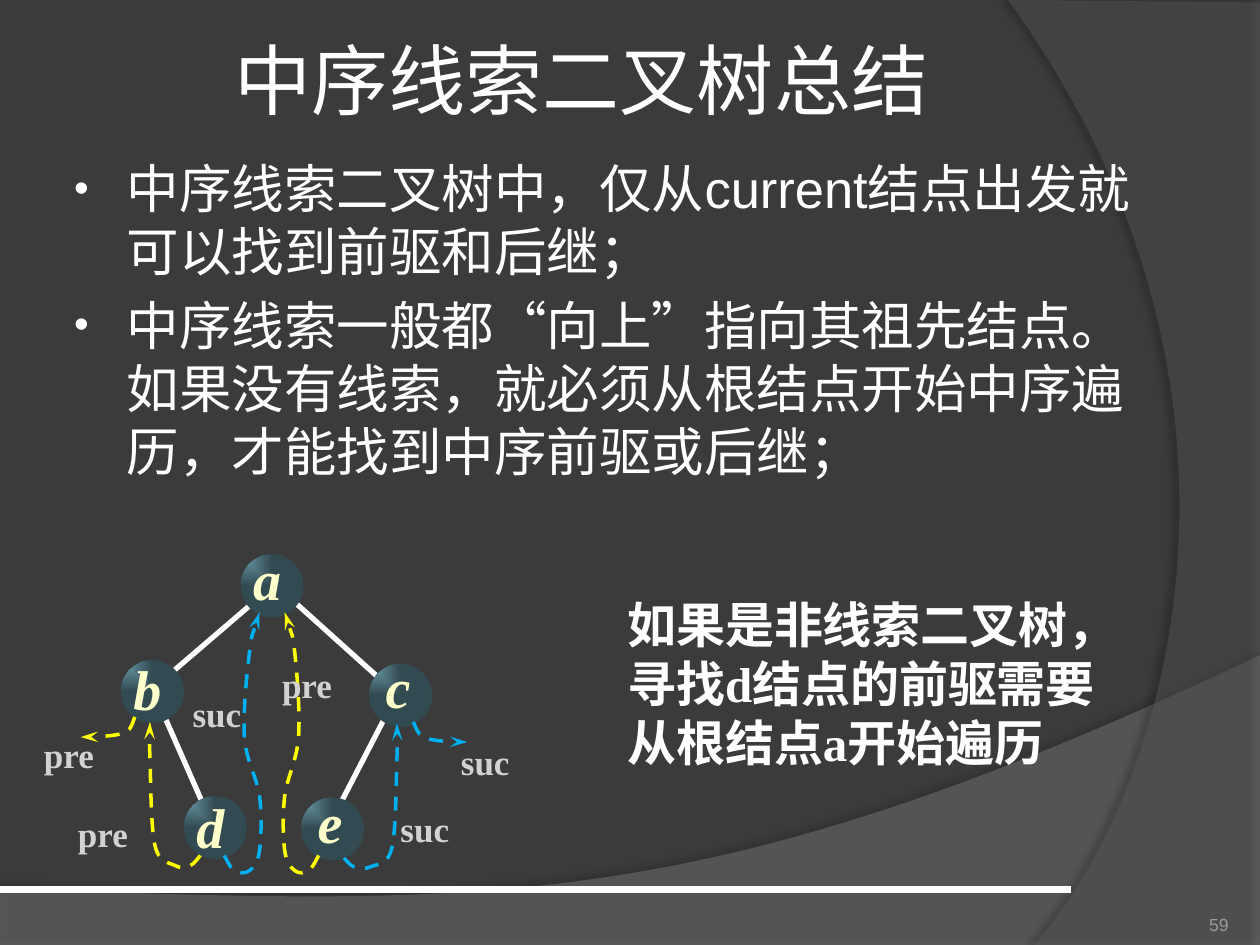
"""Build the summary slide on in-order threaded binary trees."""
import lxml.etree
import pptx
import pptx.dml.color
import pptx.enum.dml
import pptx.enum.shapes
import pptx.enum.text
import pptx.oxml
import pptx.oxml.ns
import pptx.util

RGB = pptx.dml.color.RGBColor
ALIGN = pptx.enum.text.PP_ALIGN
ANCHOR = pptx.enum.text.MSO_ANCHOR
INCH = pptx.util.Inches(1)
DARK = RGB(0x3B, 0x3B, 0x3B)
SWEEP_GREY = RGB(0x7F, 0x7F, 0x7F)
SIDE_GREY = RGB(0x5E, 0x5E, 0x5E)
WHITE = RGB(0xFF, 0xFF, 0xFF)
CREAM = RGB(0xFF, 0xFF, 0xCC)
LABEL_GREY = RGB(0xD4, 0xD2, 0xD0)
NUMBER_GREY = RGB(0x9D, 0x9B, 0x9A)
BALL_TEAL = RGB(0x6E, 0xA0, 0xB0)
THREADS = {"pre": RGB(0xFF, 0xFF, 0x00), "suc": RGB(0x00, 0xB0, 0xF0)}
CJK, SERIF = "Noto Sans CJK JP", "Times New Roman"

TITLE = [("中序线索二叉树", CJK), ("总结", "Cabin")]
POINTS = [
    "中序线索二叉树中，仅从current结点出发就可以找到前驱和后继；",
    "中序线索一般都“向上”指向其祖先结点。如果没有线索，就必须从根结点开始中序遍历，才能找到中序前驱或后继；",
]
REMARK = "如果是非线索二叉树，寻找d结点的前驱需要从根结点a开始遍历"
SWEEP = [[(0, 7.05)], [(0, 7.51)], [(10, 7.51)], [(10, 5.2)],
         [(5.59, 7.29), (3.91, 7.19), (0, 7.05)]]
SIDE = [[(10, 0.02)], [(10, 7.5)], [(8.21, 7.5)],
        [(9.35, 6.19), (10.18, 3), (8, 0)], [(10, 0.02)]]
BALL = 0.5
NODES = {
    "a": ((1.91, 4.4), (1.91, 4.27)),
    "b": ((0.96, 5.24), (0.96, 5.15)),
    "c": ((2.93, 5.27), (2.95, 5.13)),
    "d": ((1.46, 6.32), (1.46, 6.24)),
    "e": ((2.39, 6.33), (2.41, 6.2)),
}
EDGES = [
    ((3.12, 5.57), (2.67, 6.44)), ((1.29, 5.65), (1.62, 6.4)),
    ((2.34, 4.78), (3.04, 5.41)), ((2.06, 4.74), (1.29, 5.4)),
]
THREAD_PATHS = [
    ("suc", [(1.78, 6.79), (1.86, 6.91), (1.98, 6.91), (2.06, 6.75), (2.06, 6.32),
             (1.94, 5.85), (1.98, 5.18), (2.06, 4.86)]),
    ("pre", [(2.53, 6.79), (2.45, 6.91), (2.34, 6.91), (2.26, 6.75), (2.26, 6.32),
             (2.37, 5.85), (2.34, 5.18), (2.26, 4.86)]),
    ("pre", [(1.59, 6.79), (1.51, 6.87), (1.39, 6.87), (1.23, 6.71), (1.19, 6), (1.19, 5.73)]),
    ("pre", [(1.07, 5.69), (1, 5.81), (0.76, 5.85), (0.64, 5.85)]),
    ("suc", [(2.73, 6.81), (2.81, 6.88), (2.94, 6.88), (3.11, 6.73), (3.15, 6.02), (3.15, 5.74)]),
    ("suc", [(3.28, 5.73), (3.36, 5.85), (3.59, 5.89), (3.71, 5.89)]),
]
THREAD_LABELS = [
    ("pre", 0.25, 5.77), ("pre", 0.52, 6.4), ("pre", 2.14, 5.22),
    ("suc", 1.43, 5.45), ("suc", 3.56, 5.83), ("suc", 3.08, 6.36),
]


def inches(*values):
    return [pptx.util.Inches(value) for value in values]


def add_xml(parent, tag, **attributes):
    child = lxml.etree.SubElement(parent, pptx.oxml.ns.qn(tag))
    for key, value in attributes.items():
        child.set(key, str(value))
    return child


def smooth_path(anchors):
    padded = [anchors[0], *anchors, anchors[-1]]
    segments = [[anchors[0]]]
    for before, start, end, after in zip(padded, padded[1:], padded[2:], padded[3:]):
        first = [s + (e - b) / 6 for b, s, e in zip(before, start, end)]
        second = [e - (a - s) / 6 for s, e, a in zip(start, end, after)]
        segments.append([first, second, end])
    return segments


def add_outline(slide, segments, close):
    ends = [(x * INCH, y * INCH) for x, y in (segment[-1] for segment in segments)]
    builder = slide.shapes.build_freeform(*ends[0])
    builder.add_line_segments(ends[1:], close=close)
    outline = builder.convert_to_shape()
    outline.shadow.inherit = False
    sides = list(outline.element.spPr.iter(pptx.oxml.ns.qn("a:lnTo")))
    for side, segment in zip(sides, segments[1:]):
        if len(segment) == 3:
            curve = lxml.etree.Element(pptx.oxml.ns.qn("a:cubicBezTo"))
            for x, y in segment:
                add_xml(curve, "a:pt", x=round(x * INCH - outline.left),
                        y=round(y * INCH - outline.top))
            side.getparent().replace(side, curve)
    return outline


def add_backdrop(slide, segments, color, opacity, shade, distance, direction):
    backdrop = add_outline(slide, segments, True)
    backdrop.fill.solid()
    backdrop.fill.fore_color.rgb = color
    backdrop.line.fill.background()
    properties = backdrop.element.spPr
    add_xml(properties.find(".//" + pptx.oxml.ns.qn("a:srgbClr")), "a:alpha", val=opacity * 1000)
    shadow = add_xml(properties.find(pptx.oxml.ns.qn("a:effectLst")), "a:outerShdw",
                     blurRad=pptx.util.Pt(4), dist=pptx.util.Pt(distance), dir=direction * 60000)
    add_xml(add_xml(shadow, "a:srgbClr", val="000000"), "a:alpha", val=shade * 1000)


def add_line(slide, start, end, width):
    line = slide.shapes.add_connector(pptx.enum.shapes.MSO_CONNECTOR.STRAIGHT,
                                      *inches(*start, *end))
    line.line.color.rgb = WHITE
    line.line.width = pptx.util.Pt(width)
    add_xml(line.element.spPr, "a:effectLst")


def add_thread(slide, kind, anchors):
    thread = add_outline(slide, smooth_path(anchors), False)
    thread.fill.background()
    thread.line.color.rgb = THREADS[kind]
    thread.line.width = pptx.util.Pt(2)
    thread.line.dash_style = pptx.enum.dml.MSO_LINE.DASH
    outline = thread.element.spPr.find(pptx.oxml.ns.qn("a:ln"))
    add_xml(outline, "a:tailEnd", type="stealth", w="med", len="lg")


def add_ball(slide, left, top):
    ball = slide.shapes.add_shape(pptx.enum.shapes.MSO_SHAPE.OVAL, *inches(left, top, BALL, BALL))
    ball.shadow.inherit = False
    ball.line.fill.background()
    ball.fill.gradient()
    for stop in ball.fill.gradient_stops:
        stop.color.rgb = BALL_TEAL
    gradient = ball.element.spPr.find(pptx.oxml.ns.qn("a:gradFill"))
    rim = list(gradient.iter(pptx.oxml.ns.qn("a:srgbClr")))[-1]
    add_xml(rim, "a:gamma")
    add_xml(rim, "a:shade", val=46275)
    add_xml(rim, "a:invGamma")
    gradient.remove(gradient.find(pptx.oxml.ns.qn("a:lin")))
    add_xml(add_xml(gradient, "a:path", path="rect"), "a:fillToRect", r=100000, b=100000)


def style(run, font, size, color, bold=False, italic=False):
    run.font.name = font
    run.font.size = pptx.util.Pt(size)
    run.font.color.rgb = color
    run.font.bold, run.font.italic = bold, italic
    add_xml(run._r.get_or_add_rPr(), "a:ea", typeface=CJK)


def add_text(slide, box, text, *look, align=ALIGN.LEFT, anchor=ANCHOR.TOP, wrap=True):
    frame = slide.shapes.add_textbox(*inches(*box)).text_frame
    frame.word_wrap = wrap
    frame.vertical_anchor = anchor
    frame.text = text
    for paragraph in frame.paragraphs:
        paragraph.alignment = align
        for run in paragraph.runs:
            style(run, *look)
    return frame


def main():
    deck = pptx.Presentation()
    deck.slide_width, deck.slide_height = inches(10, 7.5)
    slide = deck.slides.add_slide(deck.slide_layouts[6])
    slide.background.fill.solid()
    slide.background.fill.fore_color.rgb = DARK
    add_backdrop(slide, SWEEP, SWEEP_GREY, 45, 35, 3.5, 270)
    add_backdrop(slide, SIDE, SIDE_GREY, 40, 45, 4, 180)
    add_line(slide, (0, 7.06), (8.5, 7.06), 4.5)

    title = add_text(slide, (0.53, 0, 8.17, 1.25), "", align=ALIGN.CENTER, anchor=ANCHOR.MIDDLE)
    for words, font in TITLE:
        run = title.paragraphs[0].add_run()
        run.text = words
        style(run, font, 44, WHITE)

    body = add_text(slide, (0.45, 1.19, 8.77, 5.59), "\n".join(POINTS), "Arial", 30, WHITE)
    for paragraph in body.paragraphs:
        properties = paragraph._p.get_or_add_pPr()
        properties.set("marL", str(pptx.util.Inches(0.46)))
        properties.set("indent", str(pptx.util.Inches(-0.42)))
        add_xml(add_xml(properties, "a:buClr"), "a:srgbClr", val=WHITE)
        add_xml(properties, "a:buSzPct", val=80000)
        add_xml(properties, "a:buFont", typeface="Arial")
        add_xml(properties, "a:buChar", char="•")
    body.paragraphs[1].space_before = pptx.util.Pt(6)

    number = add_text(slide, (8.92, 7.02, 0.83, 0.4), "59", "Arial", 10, NUMBER_GREY,
                      align=ALIGN.RIGHT, anchor=ANCHOR.BOTTOM)
    number.margin_left = number.margin_right = number.margin_top = number.margin_bottom = 0

    for start, end in EDGES:
        add_line(slide, start, end, 3)
    for ball, _ in NODES.values():
        add_ball(slide, *ball)
    for letter, (_, corner) in NODES.items():
        add_text(slide, (*corner, 0.42, 0.63), letter, SERIF, 32, CREAM, True, True,
                 align=ALIGN.CENTER, anchor=ANCHOR.MIDDLE, wrap=False)
    for kind, anchors in THREAD_PATHS:
        add_thread(slide, kind, anchors)
    for label, left, top in THREAD_LABELS:
        add_text(slide, (left, top, 0.6, 0.44), label, SERIF, 20, LABEL_GREY, True, wrap=False)
    add_text(slide, (4.88, 4.67, 4.15, 1.51), REMARK, SERIF, 28, WHITE, True)
    deck.save("out.pptx")


if __name__ == "__main__":
    main()
